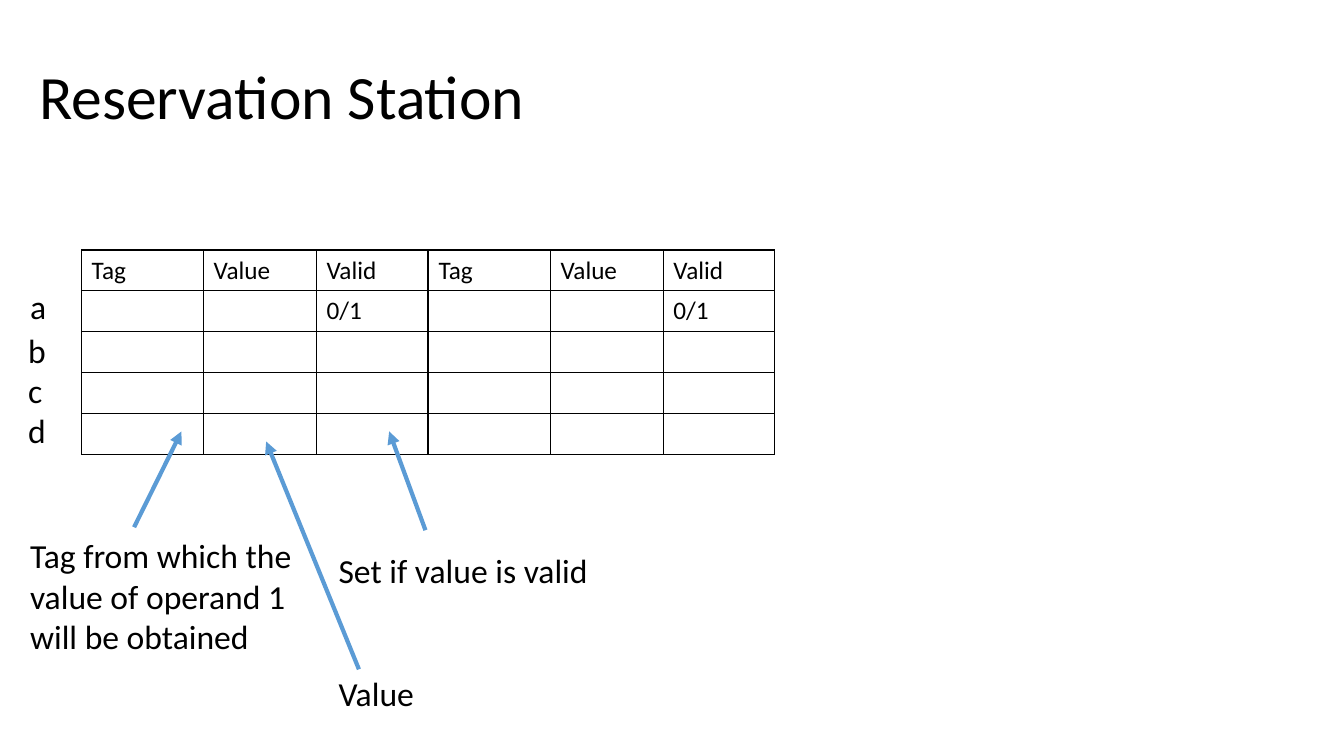
from lxml import etree
from pptx import Presentation
from pptx.dml.color import RGBColor
from pptx.enum.shapes import MSO_CONNECTOR
from pptx.enum.text import MSO_ANCHOR
from pptx.oxml.ns import qn
from pptx.util import Inches, Pt

STRAIGHT = MSO_CONNECTOR.STRAIGHT
TOP, MIDDLE = MSO_ANCHOR.TOP, MSO_ANCHOR.MIDDLE

BLACK = RGBColor(0x00, 0x00, 0x00)
BLUE = RGBColor(0x5B, 0x9B, 0xD5)
FONT = "Calibri"

TABLE_TOP, TABLE_WIDTH, TABLE_HEIGHT = 2.48, 3.43, 2.03
COLUMN_WIDTHS = (1.21, 1.12, 1.1)
OPERAND_LEFTS = (0.81, 4.25)
OPERAND_CELLS = (
    ("Tag", "Value", "Valid"),
    ("", "", "0/1"),
    ("", "", ""),
    ("", "", ""),
    ("", "", ""),
)

# text, left, top, width
ENTRY_LABELS = (
    ("a", 0.2, 2.79, 0.23),
    ("b", 0.18, 3.22, 0.24),
    ("c", 0.18, 3.62, 0.22),
    ("d", 0.18, 4.02, 0.24),
)
# text, top-left corner, height, arrow start, arrow tip
FIELD_NOTES = (
    ("Tag from which the value of operand 1 will be obtained",
     (0.2, 5.26), 1.31, (1.33, 5.23), (1.8, 4.28)),
    ("Set if value is valid", (3.26, 5.41), 0.5, (4.22, 5.26), (3.86, 4.28)),
    ("Value", (3.26, 6.63), 0.5, (3.56, 6.64), (2.64, 4.38)),
)
NOTE_WIDTH = 3.26


def write_text(frame, text, size=24, line_spacing=1.0):
    para = frame.paragraphs[0]
    para.line_spacing = line_spacing
    span = para.add_run()
    span.text = text
    span.font.name = FONT
    span.font.size = Pt(size)
    span.font.color.rgb = BLACK


def add_text(page, text, left, top, width, height=0.5, anchor=TOP, **text_format):
    box = page.shapes.add_textbox(
        Inches(left), Inches(top), Inches(width), Inches(height))
    frame = box.text_frame
    frame.word_wrap = True
    frame.vertical_anchor = anchor
    write_text(frame, text, **text_format)


def add_borders(cell):
    properties = cell._tc.get_or_add_tcPr()
    for side in ("a:lnL", "a:lnR", "a:lnT", "a:lnB"):
        border = etree.SubElement(properties, qn(side), w=str(Pt(1)))
        fill = etree.SubElement(border, qn("a:solidFill"))
        etree.SubElement(fill, qn("a:srgbClr"), val=str(BLACK))


def add_operand_table(page, left):
    table = page.shapes.add_table(
        len(OPERAND_CELLS), len(COLUMN_WIDTHS), Inches(left), Inches(TABLE_TOP),
        Inches(TABLE_WIDTH), Inches(TABLE_HEIGHT)).table
    table.first_row = False
    table.horz_banding = False
    for column, width in zip(table.columns, COLUMN_WIDTHS):
        column.width = Inches(width)
    for row, texts in zip(table.rows, OPERAND_CELLS):
        for cell, text in zip(row.cells, texts):
            add_borders(cell)
            cell.fill.background()
            if text:
                write_text(cell.text_frame, text, size=18)


def add_arrow(page, start, tip):
    arrow = page.shapes.add_connector(
        STRAIGHT, *(Inches(value) for value in (*start, *tip)))
    arrow.line.color.rgb = BLUE
    arrow.line.width = Pt(3)
    etree.SubElement(arrow.line._get_or_add_ln(), qn("a:tailEnd"), type="triangle")
    etree.SubElement(arrow._element.spPr, qn("a:effectLst"))


def main():
    deck = Presentation()
    deck.slide_width, deck.slide_height = Inches(13.33), Inches(7.5)
    page = deck.slides.add_slide(deck.slide_layouts[6])

    add_text(page, "Reservation Station", 0.29, 0.26, 11.5, 1.45,
             anchor=MIDDLE, size=44, line_spacing=0.9)
    for left in OPERAND_LEFTS:
        add_operand_table(page, left)
    for text, left, top, width in ENTRY_LABELS:
        add_text(page, text, left, top, width)
    for text, corner, height, start, tip in FIELD_NOTES:
        add_arrow(page, start, tip)
        add_text(page, text, *corner, NOTE_WIDTH, height)

    deck.save("out.pptx")


if __name__ == "__main__":
    main()
